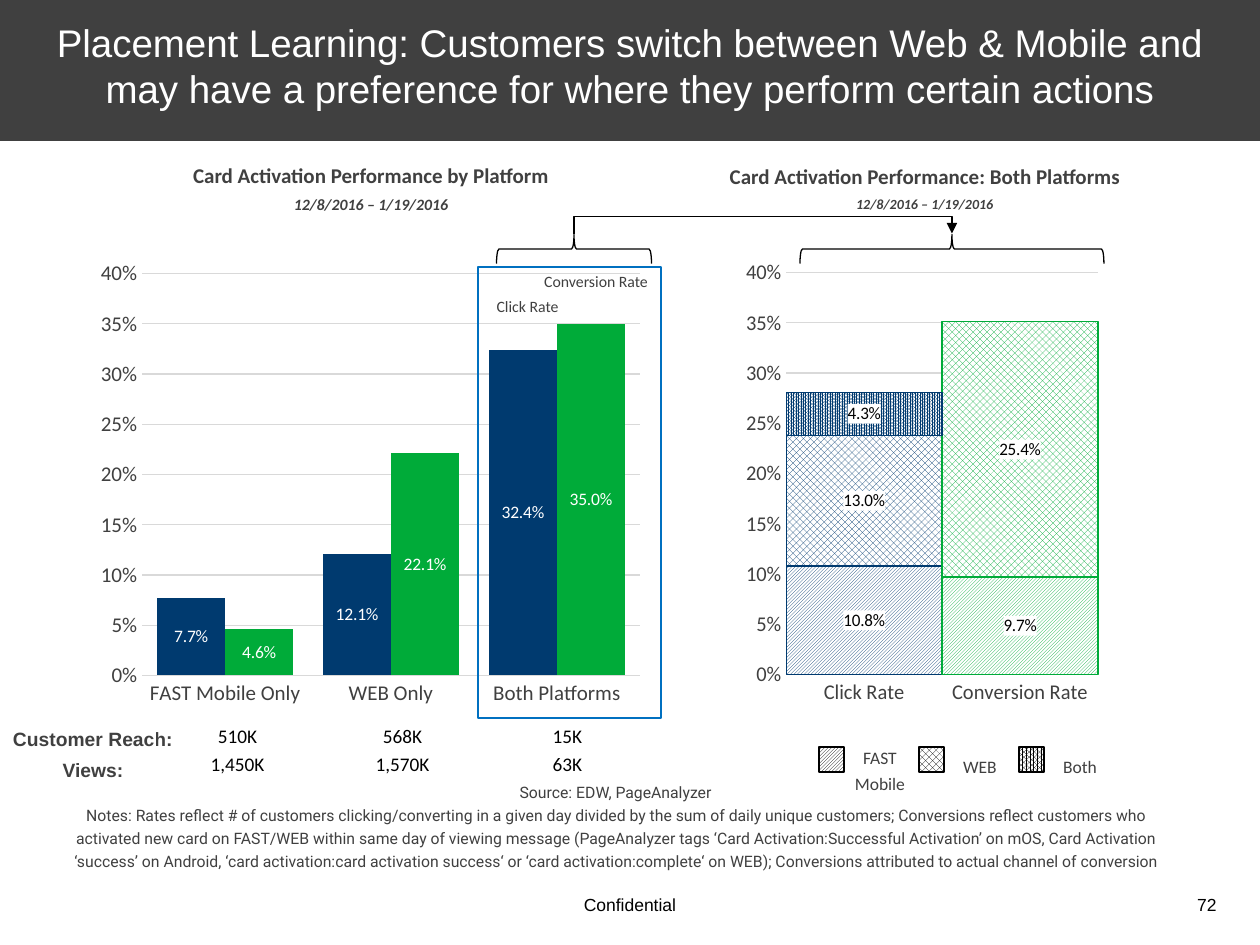
from lxml.etree import SubElement as Sub
from pptx import Presentation
from pptx.chart.data import CategoryChartData as Data
from pptx.dml.color import RGBColor
from pptx.enum.chart import XL_CHART_TYPE as Kind, XL_LABEL_POSITION as Spot, XL_TICK_MARK as Tick
from pptx.enum.dml import MSO_PATTERN as Pat
from pptx.enum.shapes import MSO_CONNECTOR as Link, MSO_SHAPE as Form
from pptx.enum.text import MSO_ANCHOR as Anchor, PP_ALIGN as Align
from pptx.oxml import parse_xml
from pptx.oxml.ns import nsdecls, qn
from pptx.util import Emu, Pt

NAVY, GREEN, GRAY, RULE = "003A6F", "00AB39", "404040", "D9D9D9"
BLACK, WHITE = "000000", "FFFFFF"
DIAG, CHECK = Pat.DARK_UPWARD_DIAGONAL, Pat.LARGE_CHECKER_BOARD


def px(n):
    return Emu(round(n * 914400 / 126))


def hue(code):
    return RGBColor.from_string(code)


def hatch(fill, pat, color):
    fill.patterned()
    fill.pattern = pat
    fill.fore_color.rgb = hue(color)
    fill.back_color.rgb = hue(WHITE)


def edge(line, color):
    line.color.rgb = hue(color)
    line.width = Pt(0.75)


class Deck:
    def __init__(self):
        self.prs = Presentation()
        self.prs.slide_width, self.prs.slide_height = px(1260), px(945)
        self.page = self.prs.slides.add_slide(self.prs.slide_layouts[5])
        self.shapes = self.page.shapes

    def style(self, font, size, color=GRAY, face="Calibri", bold=False, slant=False):
        font.name, font.size = face, Pt(size)
        font.bold, font.italic = bold, slant
        font.color.rgb = hue(color)

    def run(self, para, text, size, lead=1.0, side=Align.CENTER, **look):
        para.alignment, para.line_spacing = side, lead
        run = para.add_run()
        run.text = text
        self.style(run.font, size, **look)

    def title(self, box, text):
        head = self.shapes.title
        head.left, head.top, head.width, head.height = map(px, box)
        head.fill.solid()
        head.fill.fore_color.rgb = hue(GRAY)
        frame = head.text_frame
        frame.word_wrap, frame.vertical_anchor = True, Anchor.MIDDLE
        frame.margin_left = frame.margin_right = px(19)
        frame.margin_top = frame.margin_bottom = px(13)
        self.run(frame.paragraphs[0], text, 22, color=WHITE, face="Arial")

    def text(self, box, *rows, **look):
        frame = self.shapes.add_textbox(*map(px, box)).text_frame
        frame.word_wrap = True
        for i, (text, size, more) in enumerate(rows):
            para = frame.add_paragraph() if i else frame.paragraphs[0]
            self.run(para, text, size, **{**look, **more})
        return frame

    def head(self, box, name, small):
        frame = self.text(box, (name, 12, {"bold": True}),
                          ("12/8/2016 – 1/19/2016", small, {"bold": True, "slant": True}), lead=1.2)
        frame.word_wrap, frame.vertical_anchor = False, Anchor.MIDDLE
        frame.margin_left = frame.margin_right = frame.margin_top = frame.margin_bottom = 0
        frame.paragraphs[1].space_before = Pt(2)

    def shape(self, form, box, color, pat=None, turn=0):
        item = self.shapes.add_shape(form, *map(px, box))
        item.shadow.inherit = False
        item.rotation = turn
        edge(item.line, color)
        if pat is None:
            item.fill.background()
        else:
            hatch(item.fill, pat, color)

    def elbow(self, start, end, base, rise):
        mid, span = (start + end) / 2, end - start
        top = base - span / 2
        item = self.shapes.add_connector(Link.ELBOW, px(mid - 0.5), px(top), px(mid + 0.5), px(top + span))
        edge(item.line, BLACK)
        prop = item._element.spPr
        frame = prop.find(qn("a:xfrm"))
        for key, val in (("rot", "5400000"), ("flipH", "1"), ("flipV", "1")):
            frame.set(key, val)
        geom = prop.find(qn("a:prstGeom"))
        guides = geom.find(qn("a:avLst"))
        if guides is None:
            guides = Sub(geom, qn("a:avLst"))
        Sub(guides, qn("a:gd"), name="adj1", fmla=f"val {rise * 100000}")
        Sub(prop.find(qn("a:ln")), qn("a:tailEnd"), type="triangle")
        Sub(prop, qn("a:effectLst"))

    def table(self, box, rows):
        grid = self.shapes.add_table(len(rows), len(rows[0]), *map(px, box)).table
        grid.first_row = grid.horz_banding = False
        for r, row in enumerate(rows):
            for c, text in enumerate(row):
                cell = grid.cell(r, c)
                cell.fill.background()
                cell.vertical_anchor = Anchor.BOTTOM
                cell.margin_left = cell.margin_right = cell.margin_top = px(1)
                cell.margin_bottom = 0
                self.run(cell.text_frame.paragraphs[0], text, 11, lead=1.2, color=BLACK)

    def chart(self, box, kind, cats, rows, gap, lap, ink):
        data = Data(number_format="0.0%")
        data.categories = cats
        for i, vals in enumerate(rows, 1):
            data.add_series(f"Series {i}", vals)
        chart = self.shapes.add_chart(kind, *map(px, box), data).chart
        chart.has_legend = chart.has_title = False
        self.style(chart.font, 10, color=BLACK, face="Arial")
        for axis in (chart.category_axis, chart.value_axis):
            axis.major_tick_mark = axis.minor_tick_mark = Tick.NONE
            self.style(axis.tick_labels.font, 12)
        edge(chart.category_axis.format.line, RULE)
        axis = chart.value_axis
        axis.format.line.fill.background()
        axis.minimum_scale, axis.maximum_scale, axis.major_unit = 0, 0.4, 0.05
        axis.tick_labels.number_format = "0%"
        axis.tick_labels.number_format_is_linked = False
        edge(axis.major_gridlines.format.line, RULE)
        plot = chart.plots[0]
        plot.gap_width, plot.overlap, plot.vary_by_categories = gap, lap, False
        for row in plot.series:
            tags = row.data_labels
            tags.show_value, tags.position = True, Spot.CENTER
            tags.number_format, tags.number_format_is_linked = "0.0%", False
            self.style(tags.font, 10, color=ink)
        self.place(chart)
        return plot.series

    def place(self, chart):
        area = chart._chartSpace.find(f".//{qn('c:plotArea')}")
        old = area.find(qn("c:layout"))
        if old is not None:
            area.remove(old)
        lay = parse_xml(f"<c:layout {nsdecls('c')}><c:manualLayout/></c:layout>")
        area.insert(0, lay)
        for key, val in (("layoutTarget", "inner"), ("xMode", "edge"), ("yMode", "edge"),
                         ("x", "0.088"), ("y", "0.026"), ("w", "0.892"), ("h", "0.822")):
            Sub(lay[0], qn(f"c:{key}"), val=val)

    def patch(self, row):
        back = parse_xml(f'<c:spPr {nsdecls("c", "a")}><a:solidFill><a:srgbClr val="{WHITE}"/>'
                         "</a:solidFill></c:spPr>")
        row.data_labels._element.find(qn("c:numFmt")).addnext(back)


def main():
    deck = Deck()
    deck.title((0, -10, 1260, 151), "Placement Learning: Customers switch between Web & Mobile "
               "and may have a preference for where they perform certain actions")

    deck.head((191, 157, 360, 57), "Card Activation Performance by Platform", 9)
    bars = deck.chart((93, 261, 558, 489), Kind.COLUMN_CLUSTERED,
                      ["FAST Mobile Only", "WEB Only", "Both Platforms"],
                      [(0.077, 0.121, 0.324), (0.046, 0.221, 0.35)], 44, 0, WHITE)
    for row, color in zip(bars, (NAVY, GREEN)):
        row.format.fill.solid()
        row.format.fill.fore_color.rgb = hue(color)

    deck.head((727, 158, 396, 54), "Card Activation Performance: Both Platforms", 8)
    stack = deck.chart((746, 260, 359, 489), Kind.COLUMN_STACKED, ["Click Rate", "Conversion Rate"],
                       [(0.108, 0.097), (0.13, 0.254), (0.043, None)], 0, 100, BLACK)
    for row, pat in zip(stack, (DIAG, CHECK, Pat.PERCENT_90)):
        hatch(row.format.fill, pat, NAVY)
        edge(row.format.line, NAVY)
        if pat in (DIAG, CHECK):
            for i, color in enumerate((NAVY, GREEN)):
                look = row.points[i].format
                hatch(look.fill, pat, color)
                edge(look.line, color)
        deck.patch(row)

    reach = deck.text((0, 716, 186, 73), ("Customer Reach:", 11, {}), ("Views:", 11, {}),
                      lead=1.2, face="Arial", bold=True)
    reach.paragraphs[1].space_before = Pt(2)
    deck.table((155, 719, 495, 50), [("510K", "568K", "15K"), ("1,450K", "1,570K", "63K")])

    deck.text((442, 291, 171, 32), ("Click Rate", 9, {}))
    deck.text((530, 266, 132, 32), ("Conversion Rate", 9, {}))
    deck.shape(Form.RECTANGLE, (478, 267, 183, 451), "0070C0")
    for mid, span in ((574, 155), (952, 304)):
        deck.shape(Form.RIGHT_BRACE, (mid - 14.5, 249 - span / 2, 29, span), BLACK, turn=270)
    deck.elbow(574, 952, 234, 18)

    keys = ((DIAG, "FAST Mobile", 737, 63), (CHECK, "WEB", 746, 38), (Pat.PERCENT_80, "Both", 746, 38))
    for i, (pat, name, top, tall) in enumerate(keys):
        left = 819 + 100 * i
        deck.shape(Form.RECTANGLE, (left, 747, 25, 25), BLACK, pat)
        deck.text((left + 22, top, 78, tall), (name, 10, {}), lead=1.2)

    notes = ("Notes: Rates reflect # of customers clicking/converting in a given day divided by the sum of "
             "daily unique customers; Conversions reflect customers who activated new card on FAST/WEB "
             "within same day of viewing message (PageAnalyzer tags ‘Card Activation:Successful Activation’ "
             "on mOS, Card Activation ‘success’ on Android, ‘card activation:card activation success‘ or "
             "‘card activation:complete‘ on WEB); Conversions attributed to actual channel of conversion")
    deck.text((42, 777, 1147, 101), ("Source: EDW, PageAnalyzer", 9, {}), (notes, 9, {"lead": 1.2}),
              face="Roboto")
    deck.text((252, 888, 756, 34), ("Confidential", 10, {}), face="Arial", color=BLACK)
    deck.text((1172, 888, 57, 34), ("72", 10, {}), face="Arial", color=BLACK, side=Align.RIGHT)
    deck.prs.save("out.pptx")


if __name__ == "__main__":
    main()
